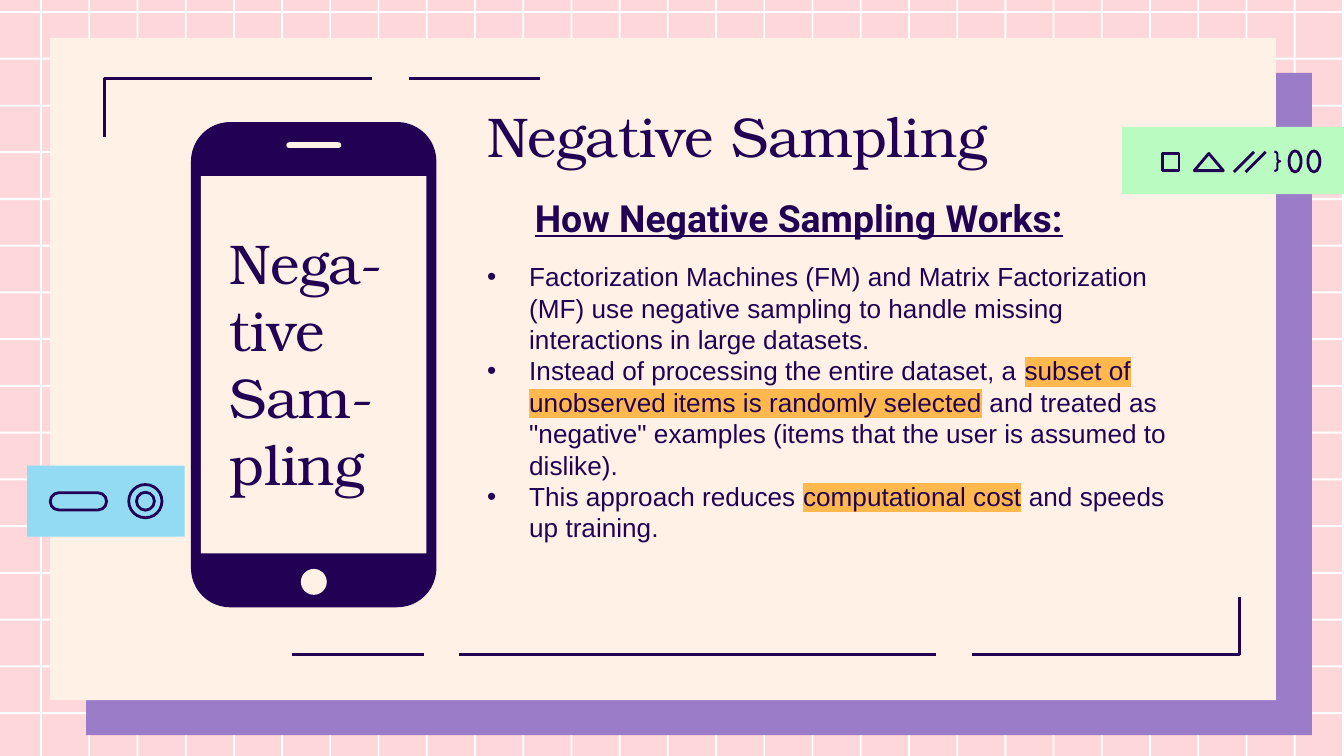
from dataclasses import dataclass

from lxml import etree
from pptx import Presentation
from pptx.dml.color import RGBColor
from pptx.enum.shapes import MSO_CONNECTOR, MSO_SHAPE
from pptx.enum.text import MSO_ANCHOR
from pptx.oxml.ns import qn
from pptx.util import Pt

RECT = MSO_SHAPE.RECTANGLE
ROUND = MSO_SHAPE.ROUNDED_RECTANGLE
OVAL = MSO_SHAPE.OVAL
TRIANGLE = MSO_SHAPE.ISOSCELES_TRIANGLE
BRACE = MSO_SHAPE.RIGHT_BRACE
STRAIGHT = MSO_CONNECTOR.STRAIGHT
TOP = MSO_ANCHOR.TOP


@dataclass(frozen=True)
class Theme:
    pink: str = "FDD7D9"
    white: str = "FFFFFF"
    purple: str = "9A7CC9"
    cream: str = "FFF1E6"
    ink: str = "220155"
    green: str = "BAFBC2"
    blue: str = "92DBF3"
    mark: str = "FFB84E"
    serif: str = "TeX Gyre Bonum"
    heading: str = "Roboto"
    body: str = "Arial"
    title_size: float = 30
    heading_size: float = 20
    body_size: float = 14
    line: float = 1.5


class Deck:
    def __init__(self, prs, theme):
        self.theme = theme
        self.s = prs.slides.add_slide(prs.slide_layouts[6])
        fill = self.s.background.fill
        fill.solid()
        fill.fore_color.rgb = RGBColor.from_string(theme.pink)

    def style(self, sp, fill=None, line=None, width=None):
        sp.shadow.inherit = False
        if fill:
            sp.fill.solid()
            sp.fill.fore_color.rgb = RGBColor.from_string(fill)
        else:
            sp.fill.background()
        if line:
            sp.line.color.rgb = RGBColor.from_string(line)
            sp.line.width = Pt(width or self.theme.line)
        else:
            sp.line.fill.background()

    def shape(self, kind, x, y, w, h, fill=None, line=None, width=None, adjust=None):
        sp = self.s.shapes.add_shape(kind, Pt(x), Pt(y), Pt(w), Pt(h))
        self.style(sp, fill, line, width)
        if adjust is not None:
            sp.adjustments[0] = adjust

    def line(self, x1, y1, x2, y2):
        c = self.s.shapes.add_connector(STRAIGHT, Pt(x1), Pt(y1), Pt(x2), Pt(y2))
        c.line.color.rgb = RGBColor.from_string(self.theme.ink)
        c.line.width = Pt(self.theme.line)
        etree.SubElement(c._element.spPr, qn("a:effectLst"))

    def corner(self, *points):
        start, *rest = [(Pt(x), Pt(y)) for x, y in points]
        builder = self.s.shapes.build_freeform(*start, scale=1.0)
        builder.add_line_segments(rest, close=False)
        self.style(builder.convert_to_shape(), line=self.theme.ink)

    def frame(self, x, y, w, h, inset):
        tf = self.s.shapes.add_textbox(Pt(x), Pt(y), Pt(w), Pt(h)).text_frame
        tf.word_wrap = True
        tf.vertical_anchor = TOP
        tf.margin_top = tf.margin_bottom = Pt(inset)
        return tf

    def font(self, r, name, size):
        r.font.name = name
        r.font.size = Pt(size)
        r.font.color.rgb = RGBColor.from_string(self.theme.ink)

    def text(self, x, y, w, h, text, name, size, inset=7.2, strong=False):
        tf = self.frame(x, y, w, h, inset)
        tf.text = text
        r = tf.paragraphs[0].runs[0]
        self.font(r, name, size)
        if strong:
            r.font.bold = r.font.underline = True

    def highlight(self, r):
        mark = etree.Element(qn("a:highlight"))
        etree.SubElement(mark, qn("a:srgbClr"), val=self.theme.mark)
        r.font._element.find(qn("a:solidFill")).addnext(mark)

    def bullets(self, x, y, w, h, items, indent=22.5):
        tf = self.frame(x, y, w, h, 3.6)
        for i, parts in enumerate(items):
            p = tf.add_paragraph() if i else tf.paragraphs[0]
            pPr = p._p.get_or_add_pPr()
            pPr.set("marL", str(Pt(indent)))
            pPr.set("indent", str(-Pt(indent)))
            etree.SubElement(pPr, qn("a:buFont"), typeface=self.theme.body)
            etree.SubElement(pPr, qn("a:buChar"), char="•")
            for j, part in enumerate(parts):
                r = p.add_run()
                r.text = part
                self.font(r, self.theme.body, self.theme.body_size)
                if j % 2:
                    self.highlight(r)


def main():
    t = Theme()
    prs = Presentation()
    prs.slide_width, prs.slide_height = Pt(720), Pt(405)
    d = Deck(prs, t)

    for i in range(16):
        d.shape(RECT, 0, 5.9 + 25.04 * i, 720, 1.1, t.white)
    for i in range(28):
        d.shape(RECT, 21.5 + 25.83 * i, 0, 1, 405, t.white)

    d.shape(RECT, 46.2, 39, 656.6, 354.8, t.purple)
    d.shape(RECT, 26.9, 20.3, 656.6, 354.8, t.cream)

    top, bottom = 42.1, 350.7
    d.corner((199.4, top), (56.2, top), (56.2, 73.4))
    d.line(218.9, top, 289.4, top)
    d.corner((520.6, bottom), (664, bottom), (664, 319.7))
    d.line(246, bottom, 501.5, bottom)
    d.line(156.2, bottom, 226.9, bottom)

    d.text(279.4, 97.2, 298.8, 26.6, "How Negative Sampling Works:",
           t.heading, t.heading_size, strong=True)
    d.text(253.9, 47.1, 334, 45.4, "Negative Sampling", t.serif, t.title_size)

    d.shape(ROUND, 102.3, 65.4, 131.5, 260, t.ink, adjust=0.16)
    d.shape(RECT, 107.6, 94.3, 120.8, 202.2, t.cream)
    d.shape(ROUND, 153.4, 76.2, 29.4, 3.1, t.cream, adjust=0.5)
    d.shape(OVAL, 161.2, 304.8, 13.9, 13.9, t.cream)

    d.shape(RECT, 601, 68, 119, 36, t.green)
    d.shape(RECT, 622.7, 82.4, 9, 9, line=t.ink)
    d.shape(TRIANGLE, 639.8, 82.2, 15.6, 9.2, line=t.ink)
    for x in (661, 667.3):
        d.line(x, 92.2, x + 10.8, 81.4)
    d.shape(BRACE, 682.7, 81.2, 3.2, 10.4, line=t.ink, width=1.1, adjust=0.4)
    for x in (690.6, 700.7):
        d.shape(OVAL, x, 80.8, 6.4, 11.3, line=t.ink)

    d.shape(RECT, 14.6, 249.5, 84.4, 38.1, t.blue)
    d.shape(OVAL, 69, 259.6, 17.8, 17.8, line=t.ink)
    d.shape(OVAL, 73.1, 263.7, 9.6, 9.6, line=t.ink)
    d.shape(ROUND, 26.9, 264, 30.2, 9.2, line=t.ink, adjust=0.5)

    d.bullets(253.9, 136.1, 389.5, 159.8, [
        ["Factorization Machines (FM) and Matrix Factorization (MF) use negative "
         "sampling to handle missing interactions in large datasets."],
        ["Instead of processing the entire dataset, a ",
         "subset of unobserved items is randomly selected",
         " and treated as \"negative\" examples (items that the user is assumed "
         "to dislike)."],
        ["This approach reduces ", "computational cost", " and speeds up training."],
    ])
    d.text(115.9, 118.8, 103.7, 152.6, "Nega-tive Sam-pling",
           t.serif, t.title_size, inset=3.6)

    prs.save("out.pptx")


if __name__ == "__main__":
    main()
